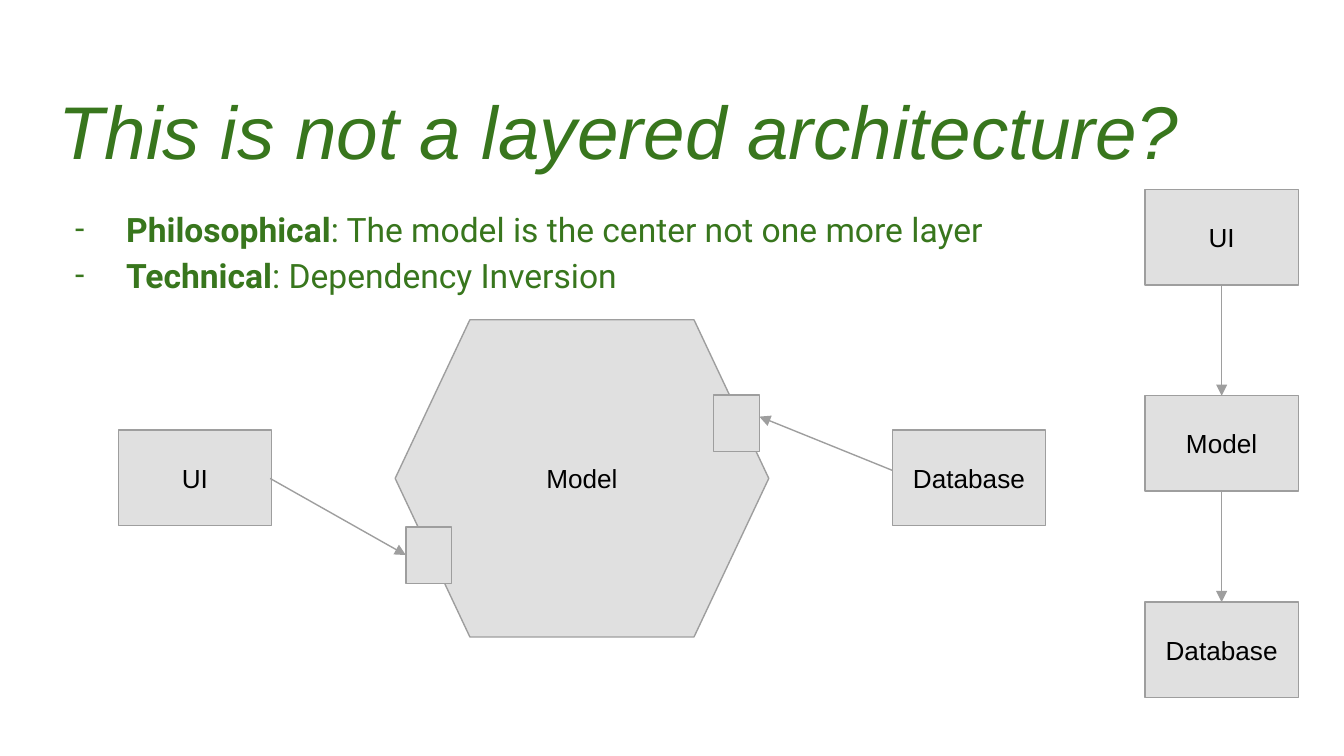
from lxml.etree import SubElement
from pptx import Presentation
from pptx.dml.color import RGBColor
from pptx.enum.shapes import MSO_CONNECTOR, MSO_SHAPE
from pptx.enum.text import MSO_ANCHOR, PP_ALIGN
from pptx.oxml.ns import qn
from pptx.util import Inches, Pt

GREEN = RGBColor(0x38, 0x76, 0x1D)
BLACK = RGBColor(0, 0, 0)
LIGHT_GREY = RGBColor(0xE0, 0xE0, 0xE0)
GREY = RGBColor(0x9E, 0x9E, 0x9E)

COLUMNS = 100
BOX_WIDTH, BOX_HEIGHT = 11.4, 7.1
PORT_WIDTH, PORT_HEIGHT = 3.4, 4.2


class ArchitectureSlide:
    def __init__(self, presentation):
        self.slide = presentation.slides.add_slide(presentation.slide_layouts[6])
        self.cell = presentation.slide_width / COLUMNS

    def grid(self, *cells):
        return [round(cell * self.cell) for cell in cells]

    def format_run(self, run, size, font, color, bold=False, italic=False):
        run.font.size = Pt(size)
        run.font.name = font
        run.font.color.rgb = color
        run.font.bold = bold
        run.font.italic = italic

    def text_area(self, left, top, width, height):
        frame = self.slide.shapes.add_textbox(*self.grid(left, top, width, height)).text_frame
        frame.word_wrap = True
        frame.margin_left, frame.margin_top, frame.margin_right, frame.margin_bottom = self.grid(1, 1, 1, 1)
        return frame

    def title(self, wording, *area):
        frame = self.text_area(*area)
        frame.text = wording
        heading = frame.paragraphs[0]
        heading.line_spacing = 1.2
        self.format_run(heading.runs[0], 40, "Arial", GREEN, italic=True)

    def reasons(self, entries, *area):
        frame = self.text_area(*area)
        for index, (term, explanation) in enumerate(entries):
            reason = frame.add_paragraph() if index else frame.paragraphs[0]
            reason.line_spacing = 1.15
            for wording, bold in ((term, True), (f": {explanation}", False)):
                run = reason.add_run()
                run.text = wording
                self.format_run(run, 18, "Roboto", GREEN, bold=bold)
            self.dash(reason)

    def dash(self, paragraph):
        properties = paragraph._p.get_or_add_pPr()
        properties.set("marL", str(Inches(0.5)))
        properties.set("indent", str(Inches(-0.38)))
        color = SubElement(properties, qn("a:buClr"))
        SubElement(color, qn("a:srgbClr"), val=str(GREEN))
        SubElement(properties, qn("a:buFont"), typeface="Roboto")
        SubElement(properties, qn("a:buChar"), char="-")

    def block(self, left, top, width=BOX_WIDTH, height=BOX_HEIGHT, label="", kind=MSO_SHAPE.RECTANGLE):
        block = self.slide.shapes.add_shape(kind, *self.grid(left, top, width, height))
        block.shadow.inherit = False
        block.fill.solid()
        block.fill.fore_color.rgb = LIGHT_GREY
        block.line.color.rgb = GREY
        block.line.width = Pt(0.75)
        if label:
            frame = block.text_frame
            frame.text = label
            frame.vertical_anchor = MSO_ANCHOR.MIDDLE
            frame.paragraphs[0].alignment = PP_ALIGN.CENTER
            self.format_run(frame.paragraphs[0].runs[0], 14, "Arial", BLACK)

    def arrow(self, *ends):
        arrow = self.slide.shapes.add_connector(MSO_CONNECTOR.STRAIGHT, *self.grid(*ends))
        arrow.line.color.rgb = GREY
        arrow.line.width = Pt(0.75)
        SubElement(arrow.line._get_or_add_ln(), qn("a:tailEnd"), type="triangle")
        SubElement(arrow._element.spPr, qn("a:effectLst"))


def main():
    presentation = Presentation()
    presentation.slide_width = Inches(10)
    presentation.slide_height = presentation.slide_width * 9 // 16
    page = ArchitectureSlide(presentation)

    page.title("This is not a layered architecture?", 3.4, 4, 93.2, 6.3)
    page.reasons(
        [
            ("Philosophical", "The model is the center not one more layer"),
            ("Technical", "Dependency Inversion"),
        ],
        3.4, 14.1, 93.2, 37.4,
    )

    layers = ["UI", "Model", "Database"]
    layer_left, layer_top, layer_step = 85.2, 14.1, 15.35
    layer_center = layer_left + BOX_WIDTH / 2
    for index, layer in enumerate(layers):
        top = layer_top + index * layer_step
        page.block(layer_left, top, label=layer)
        if index:
            page.arrow(layer_center, top - layer_step + BOX_HEIGHT, layer_center, top)

    page.block(29.4, 23.8, 27.8, 23.6, "Model", MSO_SHAPE.FLOWCHART_PREPARATION)
    for left, adapter in ((8.8, "UI"), (66.4, "Database")):
        page.block(left, 32, label=adapter)
    page.arrow(20.1, 35.6, 30.2, 41.3)
    page.arrow(66.4, 35, 56.5, 31)
    for left, top in ((30.2, 39.2), (53.1, 29.4)):
        page.block(left, top, PORT_WIDTH, PORT_HEIGHT)

    presentation.save("out.pptx")


if __name__ == "__main__":
    main()
